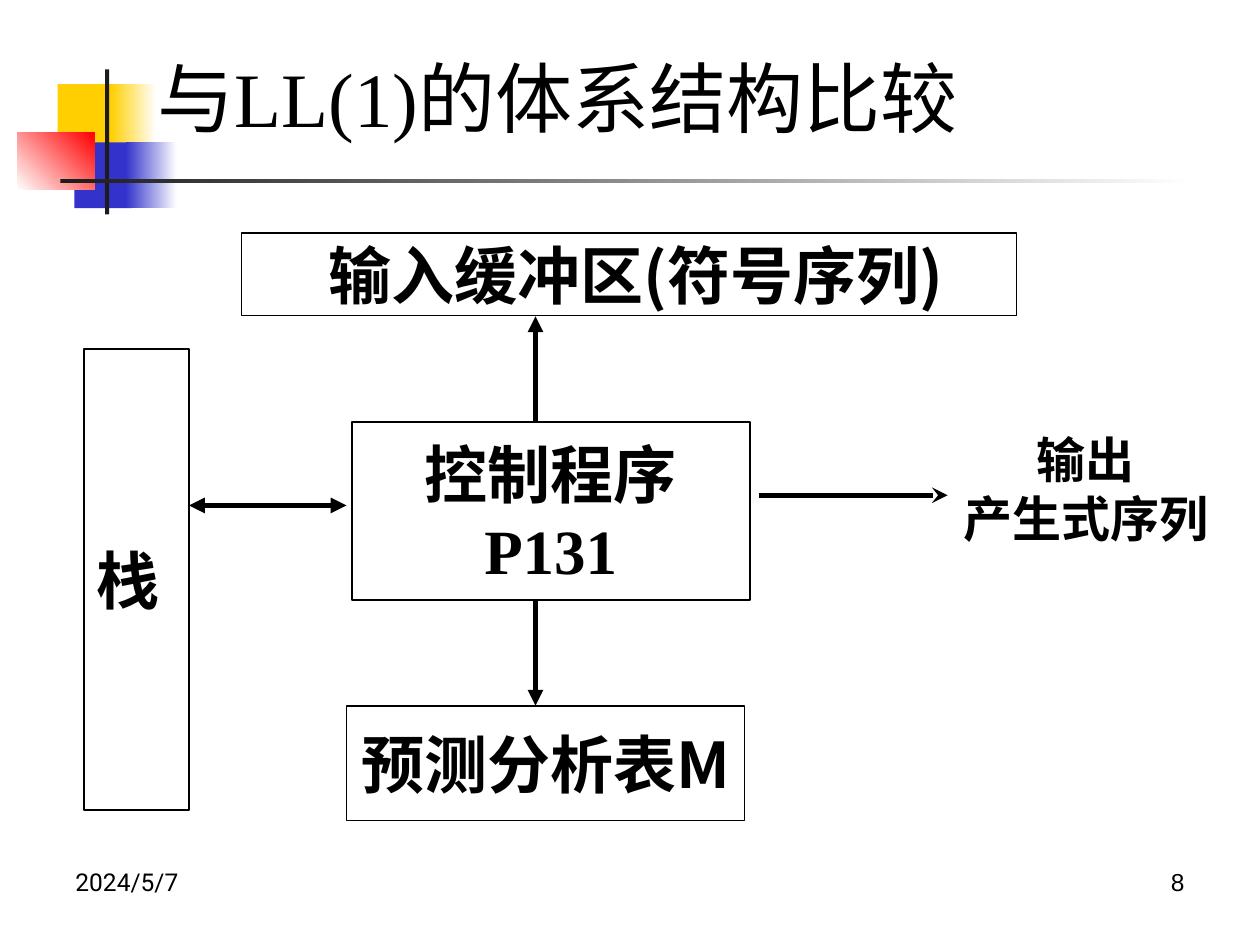
from lxml import etree
from pptx import Presentation
from pptx.dml.color import RGBColor
from pptx.enum.shapes import MSO_CONNECTOR, MSO_SHAPE
from pptx.enum.text import MSO_ANCHOR, MSO_AUTO_SIZE, PP_ALIGN
from pptx.oxml.ns import qn
from pptx.util import Pt

BLACK = RGBColor(0x00, 0x00, 0x00)
WHITE = RGBColor(0xFF, 0xFF, 0xFF)
YELLOW = RGBColor(0xFF, 0xCF, 0x01)
BLUE = RGBColor(0x33, 0x33, 0xCC)
RED = RGBColor(0xFF, 0x00, 0x00)
CHARCOAL = RGBColor(0x1C, 0x1C, 0x1C)

CHINESE = "Noto Sans CJK SC"
SERIF = "Times New Roman"
BOX_TEXT = {"size": Pt(36), "bold": True, "name": CHINESE}
OUTPUT_TEXT = {**BOX_TEXT, "size": Pt(28)}
TITLE_TEXT = {"size": Pt(44), "bold": False, "name": SERIF}
DATE_TEXT = {"size": Pt(14), "bold": False, "name": "Roboto"}
NUMBER_TEXT = {**DATE_TEXT, "name": "Arial"}


def set_values(target, values):
    for name, value in values.items():
        setattr(target, name, value)


def write_text(shape, lines, align, anchor, wrap):
    """Fill a shape with paragraphs, given as (text, font values) pairs."""
    frame = shape.text_frame
    set_values(frame, {
        "auto_size": MSO_AUTO_SIZE.NONE, "word_wrap": wrap, "vertical_anchor": anchor,
        "margin_left": Pt(7.2), "margin_right": Pt(7.2),
        "margin_top": Pt(3.6), "margin_bottom": Pt(3.6)})
    for index, (text, font_values) in enumerate(lines):
        paragraph = frame.add_paragraph() if index else frame.paragraphs[0]
        paragraph.alignment = align
        run = paragraph.add_run()
        run.text = text
        set_values(run.font, font_values)
        run.font.color.rgb = BLACK
        # East Asian typeface follows the Latin one
        east_asian = etree.SubElement(run.font._element, qn("a:ea"))
        east_asian.set("typeface", CHINESE)


def add_rectangle(slide, box):
    shape = slide.shapes.add_shape(MSO_SHAPE.RECTANGLE, *map(Pt, box))
    shape.shadow.inherit = False
    return shape


def add_block(slide, box, start, end=None, angle=0):
    """Borderless block, solid or fading from start to end."""
    shape = add_rectangle(slide, box)
    shape.line.fill.background()
    if end is None:
        shape.fill.solid()
        shape.fill.fore_color.rgb = start
        return
    shape.fill.gradient()
    shape.fill.gradient_angle = angle
    for stop, color, position in zip(shape.fill.gradient_stops, (start, end), (0, 1)):
        stop.color.rgb = color
        stop.position = position


def add_ornament(slide, box):
    """Coloured squares with a vertical bar and a fading rule."""
    left, top, width, height = box
    add_block(slide, (left + 23, top + 8.5, 34.5, 37.5), YELLOW)
    add_block(slide, (left + 53.3, top + 8.5, 26, 37.5), YELLOW, WHITE)
    add_block(slide, (left + 32.5, top + 41.8, 33, 37.5), BLUE)
    add_block(slide, (left + 62, top + 41.8, 29, 37.5), BLUE, WHITE)
    add_block(slide, (left, top + 36, 44, 33), WHITE, RED, 45)
    add_block(slide, (left + 50, top, 2.4, height), CHARCOAL)
    add_block(slide, (left + 24.5, top + 62.6, width - 24.5, 2.5), CHARCOAL, WHITE)


def place_title(slide, box, text):
    title = slide.shapes.title
    set_values(title, dict(zip(("left", "top", "width", "height"), map(Pt, box))))
    write_text(title, [(text, TITLE_TEXT)], PP_ALIGN.LEFT, MSO_ANCHOR.MIDDLE, True)


def add_label(slide, box, lines, align):
    label = slide.shapes.add_textbox(*map(Pt, box))
    write_text(label, lines, align, MSO_ANCHOR.TOP, True)


def add_component(slide, box, lines, align=PP_ALIGN.CENTER, wrap=False):
    shape = add_rectangle(slide, box)
    shape.fill.background()
    shape.line.color.rgb = BLACK
    shape.line.width = Pt(1)
    write_text(shape, lines, align, MSO_ANCHOR.MIDDLE, wrap)
    return shape


def add_arrow(slide, start, end, tail="triangle", head=None):
    arrow = slide.shapes.add_connector(MSO_CONNECTOR.STRAIGHT, *map(Pt, start + end))
    arrow.line.color.rgb = BLACK
    arrow.line.width = Pt(3)
    line = arrow.line._get_or_add_ln()
    for tag, kind in (("a:headEnd", head), ("a:tailEnd", tail)):
        if kind:
            etree.SubElement(line, qn(tag)).set("type", kind)
    etree.SubElement(arrow._element.spPr, qn("a:effectLst"))


def add_architecture(slide, box):
    """Control program with its stack, input buffer, table and output."""
    left, top, width, height = box
    buffer = add_component(slide, (left + 90, top, 443, 47), [("输入缓冲区(符号序列)", BOX_TEXT)])
    buffer.text_frame.margin_left = Pt(14.5)
    add_component(slide, (left, top + 66.3, 60, 263.5), [("栈", BOX_TEXT)], PP_ALIGN.LEFT, True)
    add_component(slide, (left + 153, top + 108, 227.5, 101.5),
                  [("控制程序", BOX_TEXT), ("P131", {**BOX_TEXT, "name": SERIF})])
    add_component(slide, (left + 150, top + height - 65.5, 227.5, 65.5),
                  [("预测分析表M", BOX_TEXT)])

    # Arrows around the control program
    axis = left + 258
    add_arrow(slide, (axis, top + 108), (axis, top + 47.5))
    add_arrow(slide, (left + 150, top + 155.5), (left + 60, top + 155.5), head="triangle")
    add_arrow(slide, (axis, top + 209.5), (axis, top + height - 65.5))
    add_arrow(slide, (left + 385.5, top + 149.7), (left + 493.5, top + 149.7), "stealth")

    add_label(slide, (left + width - 170, top + 108.7, 170, 74),
              [("输出", OUTPUT_TEXT), ("产生式序列", OUTPUT_TEXT)], PP_ALIGN.CENTER)


def add_footer(slide, box):
    left, top, width, height = box
    add_label(slide, (left, top, 168, height), [("2024/5/7", DATE_TEXT)], PP_ALIGN.LEFT)
    add_label(slide, (left + width - 168, top, 168, height), [("8", NUMBER_TEXT)], PP_ALIGN.RIGHT)


def main():
    presentation = Presentation()
    presentation.slide_width, presentation.slide_height = Pt(720), Pt(540)
    slide = presentation.slides.add_slide(presentation.slide_layouts[5])
    add_ornament(slide, (10, 39.6, 672.5, 83))
    place_title(slide, (83, 26, 504, 59), "与LL(1)的体系结构比较")
    add_architecture(slide, (48, 133.3, 657.5, 335.5))
    add_footer(slide, (36, 492, 648, 37.5))
    presentation.save("out.pptx")


if __name__ == "__main__":
    main()
